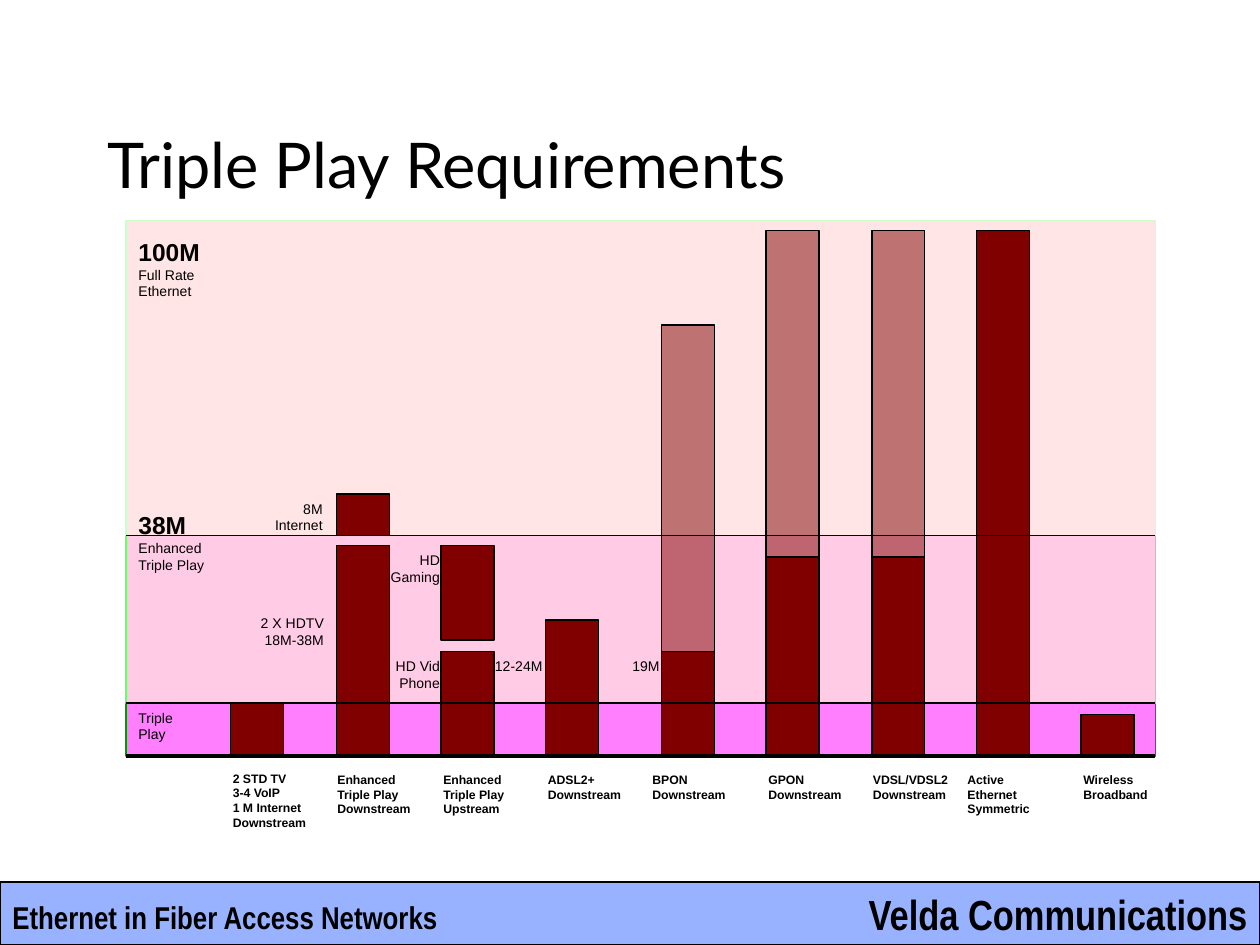
"""Build the Triple Play Requirements bandwidth slide."""
from lxml.etree import SubElement
from pptx import Presentation
from pptx.dml.color import RGBColor
from pptx.enum.shapes import MSO_CONNECTOR, MSO_SHAPE
from pptx.enum.text import MSO_ANCHOR, MSO_AUTO_SIZE, PP_ALIGN
from pptx.oxml.ns import qn
from pptx.util import Inches, Pt

BLACK = RGBColor(0x00, 0x00, 0x00)
MAROON = RGBColor(0x80, 0x00, 0x00)
FOOTER_BLUE = RGBColor(0x33, 0x66, 0xFF)
MAGENTA = RGBColor(0xFF, 0x00, 0xFF)
PINK = RGBColor(0xFF, 0x99, 0xCC)
PALE_PINK = RGBColor(0xFF, 0xCC, 0xCC)
DARK_GREEN = RGBColor(0x00, 0x99, 0x00)
GREEN = RGBColor(0x66, 0xFF, 0x66)
PALE_GREEN = RGBColor(0xCC, 0xFF, 0xCC)

CHART_LEFT, CHART_RIGHT = 1, 9.17
CHART_TOP, ENHANCED_TOP, BASIC_TOP, BASELINE = 1.75, 4.25, 5.58, 6
BAR_WIDTH = 0.42

presentation = Presentation()
presentation.slide_width = Inches(10)
presentation.slide_height = Inches(7.5)
slide = presentation.slides.add_slide(presentation.slide_layouts[5])


def add_rectangle(left, top, width, bottom, fill, line=BLACK, translucent=False):
    shape = slide.shapes.add_shape(
        MSO_SHAPE.RECTANGLE, Inches(left), Inches(top), Inches(width), Inches(bottom - top))
    shape.shadow.inherit = False
    shape.fill.solid()
    shape.fill.fore_color.rgb = fill
    shape.line.color.rgb = line
    shape.line.width = Pt(0.75)
    if translucent:
        color = shape.fill._xPr.find(qn("a:solidFill"))[0]
        SubElement(color, qn("a:alpha"), val="50000")


def add_text(text, left, top, width, height, sizes, bold=False,
             align=PP_ALIGN.LEFT, font="Arial", wrap=True):
    box = slide.shapes.add_textbox(Inches(left), Inches(top), Inches(width), Inches(height))
    frame = box.text_frame
    frame.text = text
    frame.word_wrap = wrap
    for paragraph, size in zip(frame.paragraphs, sizes):
        paragraph.alignment = align
        for run in paragraph.runs:
            run.font.name = font
            run.font.size = Pt(size)
            run.font.bold = bold or size == 14
            run.font.color.rgb = BLACK


add_rectangle(0, 7, 10, 7.5, FOOTER_BLUE, translucent=True)
add_text("Velda Communications", 6.73, 7, 3.27, 0.5, [24], True,
         PP_ALIGN.RIGHT, "Arial Narrow", False)
add_text("Ethernet in Fiber Access Networks", 0, 7.08, 3.58, 0.4, [18], True,
         font="Arial Narrow", wrap=False)

title = slide.shapes.title
title.left, title.top = Inches(0.75), Inches(0.67)
title.width, title.height = Inches(8.5), Inches(1.25)
title.text_frame.text = "Triple Play Requirements"
title.text_frame.auto_size = MSO_AUTO_SIZE.NONE
title.text_frame.vertical_anchor = MSO_ANCHOR.MIDDLE
title_paragraph = title.text_frame.paragraphs[0]
title_paragraph.alignment = PP_ALIGN.LEFT
title_font = title_paragraph.runs[0].font
title_font.name = "Lato"
title_font.size = Pt(36)
title_font.color.rgb = BLACK

bands = [
    (BASIC_TOP, BASELINE, MAGENTA, DARK_GREEN),
    (ENHANCED_TOP, BASIC_TOP, PINK, GREEN),
    (CHART_TOP, ENHANCED_TOP, PALE_PINK, PALE_GREEN),
]
for top, bottom, fill, line in bands:
    add_rectangle(CHART_LEFT, top, CHART_RIGHT - CHART_LEFT, bottom, fill, line, True)

columns = [
    ("2 STD TV\n3-4 VoIP\n1 M Internet\nDownstream", 1.75, 1.83, [(5.58, BASELINE)], None),
    ("Enhanced Triple Play Downstream", 2.58, 2.67, [(3.92, 4.25), (4.33, BASELINE)], None),
    ("Enhanced Triple Play Upstream", 3.42, 3.5, [(4.33, 5.08), (5.17, BASELINE)], None),
    ("ADSL2+ Downstream", 4.25, 4.33, [(4.92, BASELINE)], None),
    ("BPON Downstream", 5.08, 5.25, [(5.17, BASELINE)], 2.58),
    ("GPON Downstream", 6, 6.08, [(4.42, BASELINE)], 1.83),
    ("VDSL/VDSL2 Downstream", 6.83, 6.92, [(4.42, BASELINE)], 1.83),
    ("Active Ethernet Symmetric", 7.58, 7.75, [(1.83, BASELINE)], None),
    ("Wireless Broadband", 8.5, 8.58, [(5.67, BASELINE)], None),
]
for label, label_left, bar_left, segments, peak_top in columns:
    for top, bottom in segments:
        add_rectangle(bar_left, top, BAR_WIDTH, bottom, MAROON)
    if peak_top:
        add_rectangle(bar_left, peak_top, BAR_WIDTH, segments[0][0], MAROON, translucent=True)
    add_text(label, label_left, 6.07 if "\n" in label else 6.08, 0.83, 0.45, [7] * 4, True)

for text, top, width, height, sizes in [
    ("Triple Play", 5.58, 0.5, 0.37, [8]),
    ("38M\nEnhanced Triple Play", 4, 0.75, 0.6, [14, 8]),
    ("100M\nFull Rate Ethernet", 1.83, 0.75, 0.6, [14, 8]),
]:
    add_text(text, CHART_LEFT, top, width, height, sizes)

for text, left, top, width, height, align in [
    ("8M Internet", 2.08, 3.92, 0.58, 0.37, PP_ALIGN.RIGHT),
    ("2 X HDTV\n18M-38M", 1.92, 4.83, 0.75, 0.37, PP_ALIGN.RIGHT),
    ("HD Gaming", 2.92, 4.33, 0.67, 0.5, PP_ALIGN.RIGHT),
    ("HD Vid\nPhone", 2.92, 5.17, 0.67, 0.5, PP_ALIGN.RIGHT),
    ("12-24M", 3.83, 5.17, 0.58, 0.24, PP_ALIGN.LEFT),
    ("19M", 4.92, 5.17, 0.5, 0.24, PP_ALIGN.LEFT),
]:
    add_text(text, left, top, width, height, [8, 8], align=align)

for level, weight in [(ENHANCED_TOP, 0.75), (BASIC_TOP, 0.75), (BASELINE, 2)]:
    connector = slide.shapes.add_connector(
        MSO_CONNECTOR.STRAIGHT, Inches(CHART_LEFT), Inches(level),
        Inches(CHART_RIGHT), Inches(level))
    connector.line.color.rgb = BLACK
    connector.line.width = Pt(weight)
    SubElement(connector._element.spPr, qn("a:effectLst"))

presentation.save("out.pptx")
